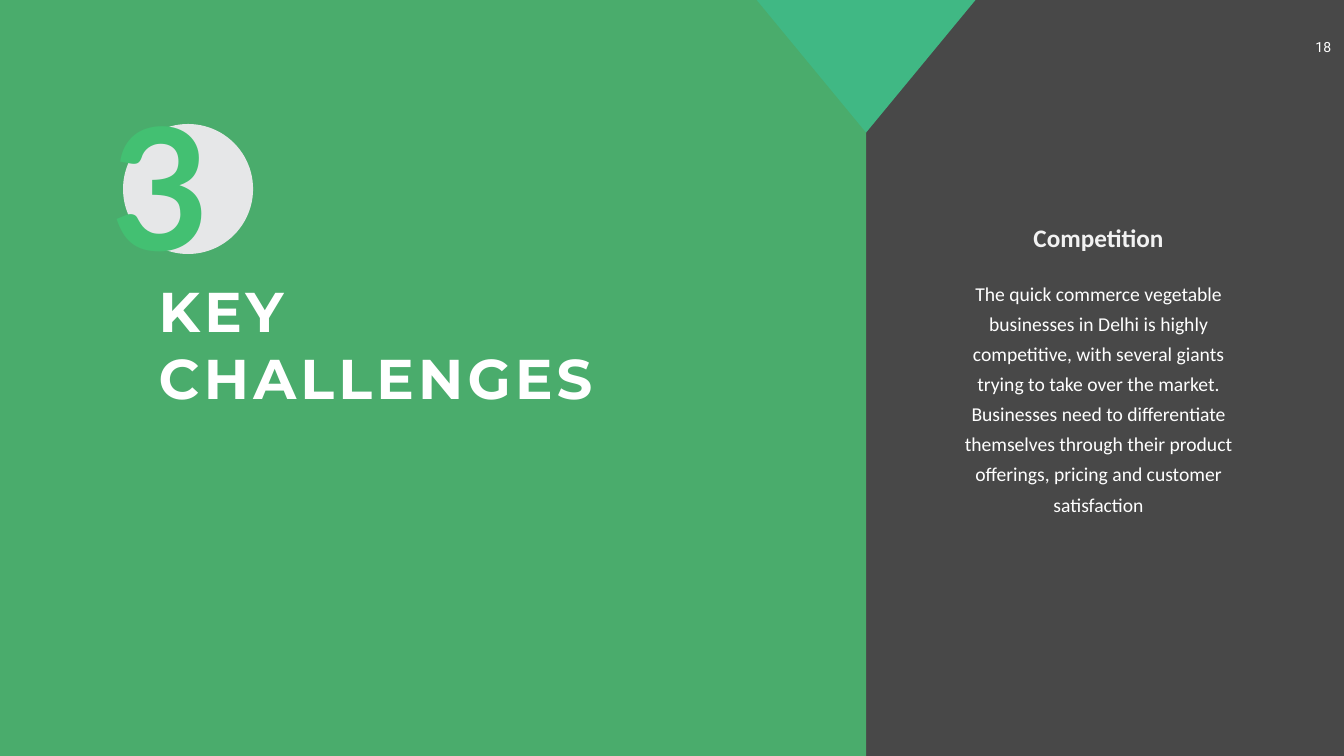
from lxml import etree
from pptx import Presentation
from pptx.dml.color import RGBColor
from pptx.enum.shapes import MSO_SHAPE
from pptx.enum.text import MSO_AUTO_SIZE, PP_ALIGN
from pptx.oxml.ns import qn
from pptx.util import Inches, Pt

RECTANGLE, TRIANGLE, OVAL = MSO_SHAPE.RECTANGLE, MSO_SHAPE.ISOSCELES_TRIANGLE, MSO_SHAPE.OVAL
LEFT, CENTER = PP_ALIGN.LEFT, PP_ALIGN.CENTER
GROW = MSO_AUTO_SIZE.SHAPE_TO_FIT_TEXT

WIDTH, HEIGHT = 26.66, 15
PANEL_EDGE = 17.18   # where the green panel meets the dark column
COLUMN_CENTER = 21.79
WHITE = "FFFFFF"


def color(hex_value):
    return RGBColor.from_string(hex_value)


def add_filled(slide, kind, left, top, width, height, fill, opacity=100):
    shape = slide.shapes.add_shape(
        kind, Inches(left), Inches(top), Inches(width), Inches(height))
    shape.shadow.inherit = False
    shape.line.fill.background()
    shape.fill.solid()
    shape.fill.fore_color.rgb = color(fill)
    if opacity < 100:
        tone = shape.fill._xPr.find(".//" + qn("a:srgbClr"))
        etree.SubElement(tone, qn("a:alpha")).set("val", str(opacity * 1000))
    return shape


def add_text(slide, text, left, top, width, height, size, font, fill,
             bold=False, align=LEFT, leading=None, tracking=None):
    box = slide.shapes.add_textbox(
        Inches(left), Inches(top), Inches(width), Inches(height))
    frame = box.text_frame
    frame.word_wrap = True
    frame.auto_size = GROW
    paragraph = frame.paragraphs[0]
    paragraph.alignment = align
    if leading:
        paragraph.line_spacing = Pt(leading)
    run = paragraph.add_run()
    run.text = text
    run.font.size = Pt(size)
    run.font.name = font
    run.font.bold = bold
    run.font.color.rgb = color(fill)
    if tracking:
        run.font._element.set("spc", str(tracking * 100))


def add_column_text(slide, text, top, width, height, size, fill, **style):
    """Centred text on the axis of the dark column."""
    add_text(slide, text, COLUMN_CENTER - width / 2, top, width, height,
             size, "Calibri", fill, align=CENTER, **style)


def main():
    prs = Presentation()
    prs.slide_width, prs.slide_height = Inches(WIDTH), Inches(HEIGHT)
    slide = prs.slides.add_slide(prs.slide_layouts[6])
    slide.background.fill.solid()
    slide.background.fill.fore_color.rgb = color("484848")

    # Page number
    add_text(slide, "18", 25.88, 0.72, 0.74, 0.44, 20, "Roboto", WHITE, align=CENTER)

    # Green panel with the section title
    add_filled(slide, RECTANGLE, 0, 0, PANEL_EDGE, HEIGHT, "4BC676", opacity=80)
    add_text(slide, "KEY CHALLENGES", 3.05, 5.44, 11.59, 2.79,
             80, "Montserrat", WHITE, bold=True, tracking=6)

    # Notch pointing down at the panel edge
    notch_width = 4.34
    notch = add_filled(slide, TRIANGLE, PANEL_EDGE - notch_width / 2, 0,
                       notch_width, 2.63, "40B884")
    notch.rotation = 180

    # Challenge described in the dark column
    add_column_text(slide, "Competition", 4.36, 4.88, 0.71, 36, "F2F2F2", bold=True)
    add_column_text(
        slide,
        "The quick commerce vegetable businesses in Delhi is highly competitive, "
        "with several giants trying to take over the market. Businesses need to "
        "differentiate themselves through their product offerings, pricing and "
        "customer satisfaction",
        5.41, 6.04, 4.88, 28, WHITE, leading=43)

    # Section number on its disc
    add_filled(slide, OVAL, 2.44, 2.46, 2.58, 2.58, "E6E7E8")
    add_text(slide, "3", 2.11, 1.56, 1.61, 4.17, 242, "Lato", "43C072", bold=True)

    prs.save("out.pptx")


if __name__ == "__main__":
    main()
